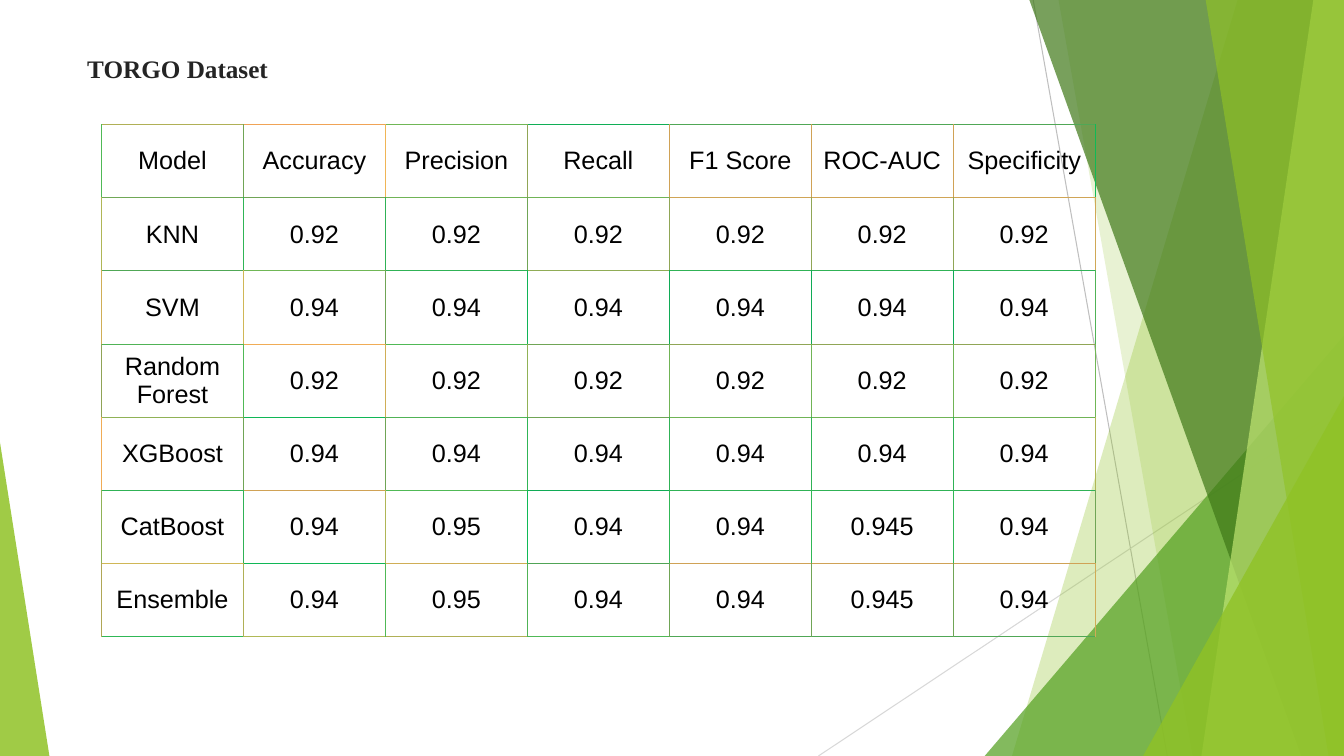
from dataclasses import dataclass

from lxml.etree import SubElement
from pptx import Presentation
from pptx.dml.color import RGBColor
from pptx.enum.shapes import MSO_CONNECTOR, MSO_SHAPE
from pptx.enum.text import MSO_ANCHOR as Anchor, PP_ALIGN as Align
from pptx.oxml import parse_xml
from pptx.oxml.ns import nsdecls, qn
from pptx.util import Pt

WIDTH, HEIGHT = 960, 540
BAND_TOP = -0.6


@dataclass
class Ray:
    start: tuple[float, float]
    end: tuple[float, float]
    color: str


@dataclass
class Band:
    """Panel with a slanted left side that reaches the right slide edge."""
    top_x: float
    bottom_x: float
    color: str
    opacity: int


@dataclass
class Wedge:
    """Right-angled triangle standing on the bottom slide edge."""
    left: float
    top: float
    width: float
    apex: float
    color: str
    opacity: int


RAYS = [
    Ray((738, 0), (833.8, HEIGHT), "BFBFBF"),
    Ray((WIDTH, 290.2), (584.6, HEIGHT), "D8D8D8"),
]
FACETS = [
    Band(884.2, 722.9, "90C226", 30),
    Band(756, 851.8, "90C226", 20),
    Wedge(703.4, 239.8, 256.6, 1, "54A021", 72),
    Band(735.1, 929.5, "3F7818", 70),
    Band(938.2, 858.2, "BFE471", 70),
    Band(861.1, 949, "90C226", 65),
    Wedge(816.5, 283, 143.5, 1, "90C226", 80),
    Wedge(0, 316.1, 35.3, 0, "90C226", 85),
]

SCORES = [
    ["Model", "Accuracy", "Precision", "Recall", "F1 Score", "ROC-AUC", "Specificity"],
    ["KNN"] + ["0.92"] * 6,
    ["SVM"] + ["0.94"] * 6,
    ["Random Forest"] + ["0.92"] * 6,
    ["XGBoost"] + ["0.94"] * 6,
    ["CatBoost", "0.94", "0.95", "0.94", "0.94", "0.945", "0.94"],
    ["Ensemble", "0.94", "0.95", "0.94", "0.94", "0.945", "0.94"],
]
TABLE_LEFT, TABLE_TOP = 72.5, 89
COLUMN_WIDTH, ROW_HEIGHT = 101.4, 52.25

# Rule colours: the first columns, then one colour shared by the last three
ACROSS = [
    "B0B056 F0A356 70B756 10AE56 50A756",
    "70A856 70A556 70B456 70B456 D0A556",
    "50A756 70B756 30B256 90AC56 30B256",
    "50B356 F0AC56 50B956 70A556 90A656",
    "90B256 10B756 50B356 70A556 70B456",
    "30B256 D0A256 50B956 10AB56 30B256",
    "D0B756 10B756 D0AE56 50A456 D0A256",
    "30B856 B0B956 B0B056 50B956 50A756",
]
# Rule colours: left rules, one colour shared by three rules, right edge
DOWN = [
    "50B956 70A556 F0B556 90A656 D0A256 10BA56",
    "B0B656 30B556 30B256 70A556 90A656 D0A856",
    "D0AE56 D0B756 70A556 10B456 10AB56 50B356",
    "90A356 50B956 D0AE56 90B256 70B456 70B756",
    "F0AC56 70A556 70A556 30B556 30B256 B0B656",
    "90B256 30B256 B0B656 10BA56 30B856 70A556",
    "B0A756 B0B056 50B956 50B356 70A556 D0AB56",
]


def rgb(color: str) -> RGBColor:
    return RGBColor.from_string(color)


def rule_colors(codes: str) -> list[str]:
    colors = codes.split()
    return colors[:4] + [colors[4]] * 3 + colors[5:]


def draw_ray(page, ray: Ray) -> None:
    line = page.shapes.add_connector(
        MSO_CONNECTOR.STRAIGHT, *map(Pt, ray.start + ray.end))
    line.line.color.rgb = rgb(ray.color)
    line.line.width = Pt(0.75)
    SubElement(line._element.spPr, qn("a:effectLst"))


def draw_facet(page, facet: Band | Wedge) -> None:
    if isinstance(facet, Band):
        corners = [(WIDTH, BAND_TOP), (WIDTH, HEIGHT), (facet.bottom_x, HEIGHT)]
        builder = page.shapes.build_freeform(Pt(facet.top_x), Pt(BAND_TOP))
        builder.add_line_segments([(Pt(x), Pt(y)) for x, y in corners])
        shape = builder.convert_to_shape()
    else:
        shape = page.shapes.add_shape(
            MSO_SHAPE.ISOSCELES_TRIANGLE, Pt(facet.left), Pt(facet.top),
            Pt(facet.width), Pt(HEIGHT - facet.top))
        shape.adjustments[0] = facet.apex
    shape.shadow.inherit = False
    shape.line.fill.background()
    shape.fill.solid()
    shape.fill.fore_color.rgb = rgb(facet.color)
    color_node = shape._element.spPr.find(qn("a:solidFill"))[0]
    SubElement(color_node, qn("a:alpha"), val=str(facet.opacity * 1000))


def format_span(span, font: str, color: str, bold: bool = False) -> None:
    span.font.name = font
    span.font.size = Pt(18)
    span.font.bold = bold
    span.font.color.rgb = rgb(color)


def draw_title(page, text: str) -> None:
    box = page.shapes.add_textbox(Pt(55.2), Pt(34.8), Pt(480), Pt(29))
    box.text_frame.word_wrap = True
    box.text_frame.text = text
    format_span(box.text_frame.paragraphs[0].runs[0], "Times New Roman", "242424", True)


def set_borders(cell, colors: dict[str, str]) -> None:
    properties = cell._tc.get_or_add_tcPr()
    for place, (side, color) in enumerate(colors.items()):
        properties.insert(place, parse_xml(
            f'<a:ln{side} {nsdecls("a")} w="{Pt(0.75)}"><a:solidFill>'
            f'<a:srgbClr val="{color}"/></a:solidFill></a:ln{side}>'))


def fill_cell(cell, text: str) -> None:
    cell.fill.background()
    cell.vertical_anchor = Anchor.MIDDLE
    cell.margin_left = cell.margin_right = Pt(2)
    cell.margin_top = cell.margin_bottom = Pt(1)
    cell.text_frame.text = text
    para = cell.text_frame.paragraphs[0]
    para.alignment = Align.CENTER
    format_span(para.runs[0], "Arial", "000000")


def draw_scores(page) -> None:
    rows, columns = len(SCORES), len(SCORES[0])
    table = page.shapes.add_table(
        rows, columns, Pt(TABLE_LEFT), Pt(TABLE_TOP),
        Pt(columns * COLUMN_WIDTH), Pt(rows * ROW_HEIGHT)).table
    table.first_row = table.horz_banding = False
    for column in table.columns:
        column.width = Pt(COLUMN_WIDTH)
    across = [rule_colors(codes) for codes in ACROSS]
    down = [rule_colors(codes) for codes in DOWN]
    for r, values in enumerate(SCORES):
        table.rows[r].height = Pt(ROW_HEIGHT)
        for c, value in enumerate(values):
            cell = table.cell(r, c)
            fill_cell(cell, value)
            set_borders(cell, {"L": down[r][c], "R": down[r][c + 1],
                               "T": across[r][c], "B": across[r + 1][c]})


def main() -> None:
    deck = Presentation()
    deck.slide_width, deck.slide_height = Pt(WIDTH), Pt(HEIGHT)
    page = deck.slides.add_slide(deck.slide_layouts[6])

    # Green backdrop
    for ray in RAYS:
        draw_ray(page, ray)
    for facet in FACETS:
        draw_facet(page, facet)

    # Title and score table
    draw_title(page, "TORGO Dataset")
    draw_scores(page)
    deck.save("out.pptx")


if __name__ == "__main__":
    main()
